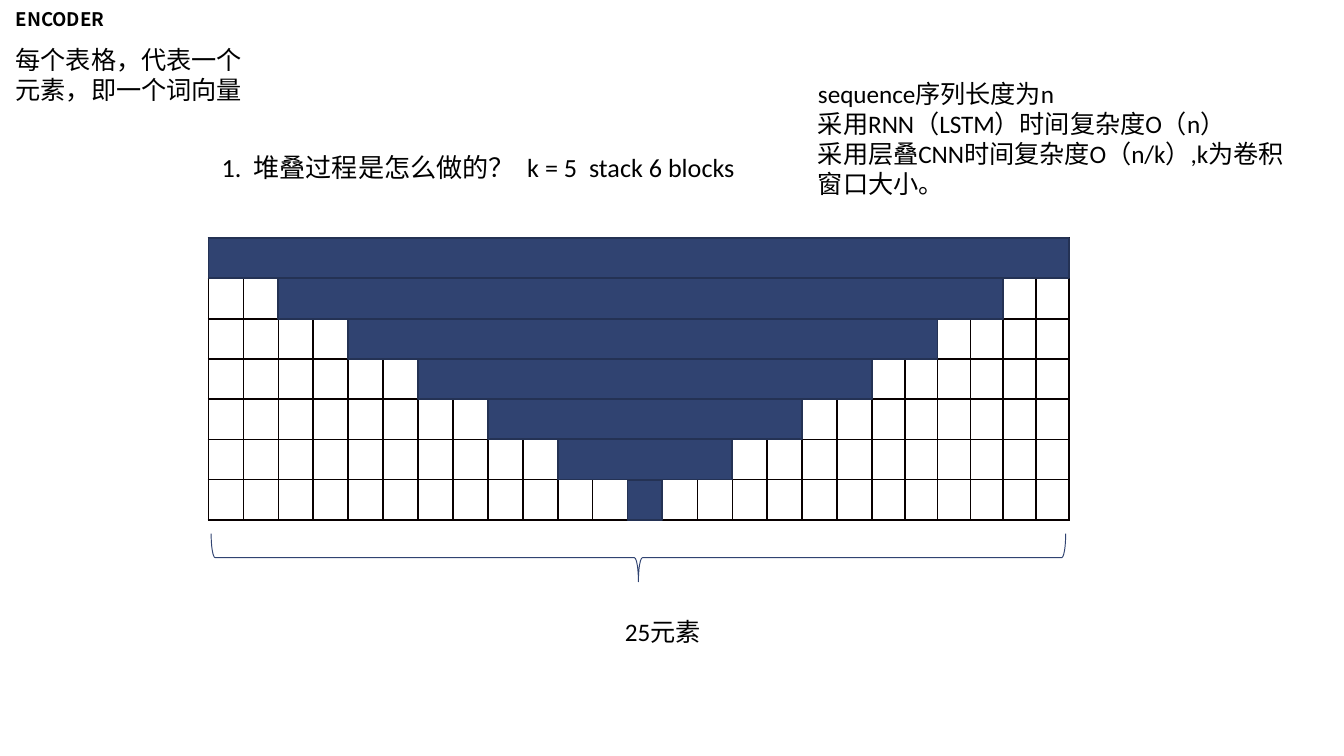
from dataclasses import dataclass

from lxml import etree
from pptx import Presentation
from pptx import util as u
from pptx.dml.color import RGBColor
from pptx.enum import shapes, text
from pptx.oxml import ns

COLS = [0.66] * 19 + [0.62] * 6  # cm
ROWS, ROW_H = 7, 0.76
STEP = 2  # cells lost at each side per block (k = 5)
LEFT, TOP = 3.94, 4.5
BLACK, PEACH, NAVY, EDGE = "080000", "F4B083", "304371", "243254"


@dataclass
class Note:
    x: float
    y: float
    w: float
    h: float
    lines: list[str]
    size: float = 13.5
    font: str = "Calibri"
    bold: bool = False
    hang: float = 0


NOTES = [
    Note(3.94, 2.74, 14.12, 0.86,
         ["1.  堆叠过程是怎么做的？  k = 5  stack 6 blocks"], size=14, hang=0.76),
    Note(0.05, 0.03, 2.44, 0.69, ["ENCODER"], size=10,
         font="Noto Sans CJK SC", bold=True),
    Note(0.05, 0.71, 4.88, 1.4, ["每个表格，代表一个元素，即一个词向量"]),
    Note(11.56, 11.51, 2.34, 0.84, ["25元素"]),
    Note(15.21, 1.35, 9.4, 2.57,
         ["sequence序列长度为n", "采用RNN（LSTM）时间复杂度O（n）",
          "采用层叠CNN时间复杂度O（n/k）,k为卷积窗口大小。"]),
]


def rgb(color: str) -> RGBColor:
    return RGBColor.from_string(color)


def add_run(p, content: str, *, size: float, font: str, bold: bool = False,
            color: str = "000000") -> None:
    r = p.add_run()
    r.text = content
    r.font.size, r.font.name, r.font.bold = u.Pt(size), font, bold
    r.font.color.rgb = rgb(color)


def add_note(s, n: Note) -> None:
    tf = s.shapes.add_textbox(u.Cm(n.x), u.Cm(n.y), u.Cm(n.w), u.Cm(n.h)).text_frame
    tf.word_wrap = True
    tf.auto_size = text.MSO_AUTO_SIZE.SHAPE_TO_FIT_TEXT
    for i, line in enumerate(n.lines):
        p = tf.paragraphs[0] if i == 0 else tf.add_paragraph()
        if n.hang:
            pPr = p._p.get_or_add_pPr()
            pPr.set("marL", str(u.Cm(n.hang)))
            pPr.set("indent", str(-u.Cm(n.hang)))
        add_run(p, line, size=n.size, font=n.font, bold=n.bold)


def add_shape(s, kind, x: float, y: float, w: float, h: float, *,
              line: str, weight: float, fill: str | None = None):
    sp = s.shapes.add_shape(kind, u.Cm(x), u.Cm(y), u.Cm(w), u.Cm(h))
    sp.shadow.inherit = False
    if fill:
        sp.fill.solid()
        sp.fill.fore_color.rgb = rgb(fill)
    else:
        sp.fill.background()
    sp.line.color.rgb = rgb(line)
    sp.line.width = u.Pt(weight)
    return sp


def style_cell(cell, filled: bool) -> None:
    if filled:
        cell.fill.solid()
        cell.fill.fore_color.rgb = rgb(PEACH)
    else:
        cell.fill.background()
    # A small empty line keeps the row height
    p = cell.text_frame.paragraphs[0]._p
    etree.SubElement(p, ns.qn("a:endParaRPr"), sz="800")
    # Borders precede the fill in the cell properties
    tcPr = cell._tc.get_or_add_tcPr()
    for i, side in enumerate(("lnL", "lnR", "lnT", "lnB")):
        ln = etree.Element(ns.qn(f"a:{side}"), w=str(u.Pt(1)))
        solid = etree.SubElement(ln, ns.qn("a:solidFill"))
        etree.SubElement(solid, ns.qn("a:srgbClr"), val=BLACK)
        tcPr.insert(i, ln)


def add_grid(s) -> None:
    frame = s.shapes.add_table(ROWS, len(COLS), u.Cm(LEFT), u.Cm(TOP),
                               u.Cm(sum(COLS)), u.Cm(ROWS * ROW_H))
    table = frame.table
    table.first_row = table.horz_banding = False
    for col, width in zip(table.columns, COLS):
        col.width = u.Cm(width)
    for i, row in enumerate(table.rows):
        row.height = u.Cm(ROW_H)
        for j, cell in enumerate(row.cells):
            style_cell(cell, STEP * i <= j < len(COLS) - STEP * i)


def add_block(s, row: int) -> None:
    cut = STEP * row
    add_shape(s, shapes.MSO_SHAPE.RECTANGLE, LEFT + sum(COLS[:cut]),
              TOP + row * ROW_H, sum(COLS[cut:len(COLS) - cut]), ROW_H,
              fill=NAVY, line=EDGE, weight=1)


def main() -> None:
    prs = Presentation()
    prs.slide_width, prs.slide_height = u.Cm(25.4), u.Cm(14.28)
    s = prs.slides.add_slide(prs.slide_layouts[6])

    # Grid and the narrowing blocks, bottom one first
    add_grid(s)
    for row in reversed(range(ROWS)):
        add_block(s, row)

    # Brace under the grid
    brace = add_shape(s, shapes.MSO_SHAPE.RIGHT_BRACE, 11.61, 2.46, 0.91, 16.15,
                      line=NAVY, weight=0.5)
    brace.rotation = 90

    # Texts
    for n in NOTES:
        add_note(s, n)

    prs.save("out.pptx")


if __name__ == "__main__":
    main()
